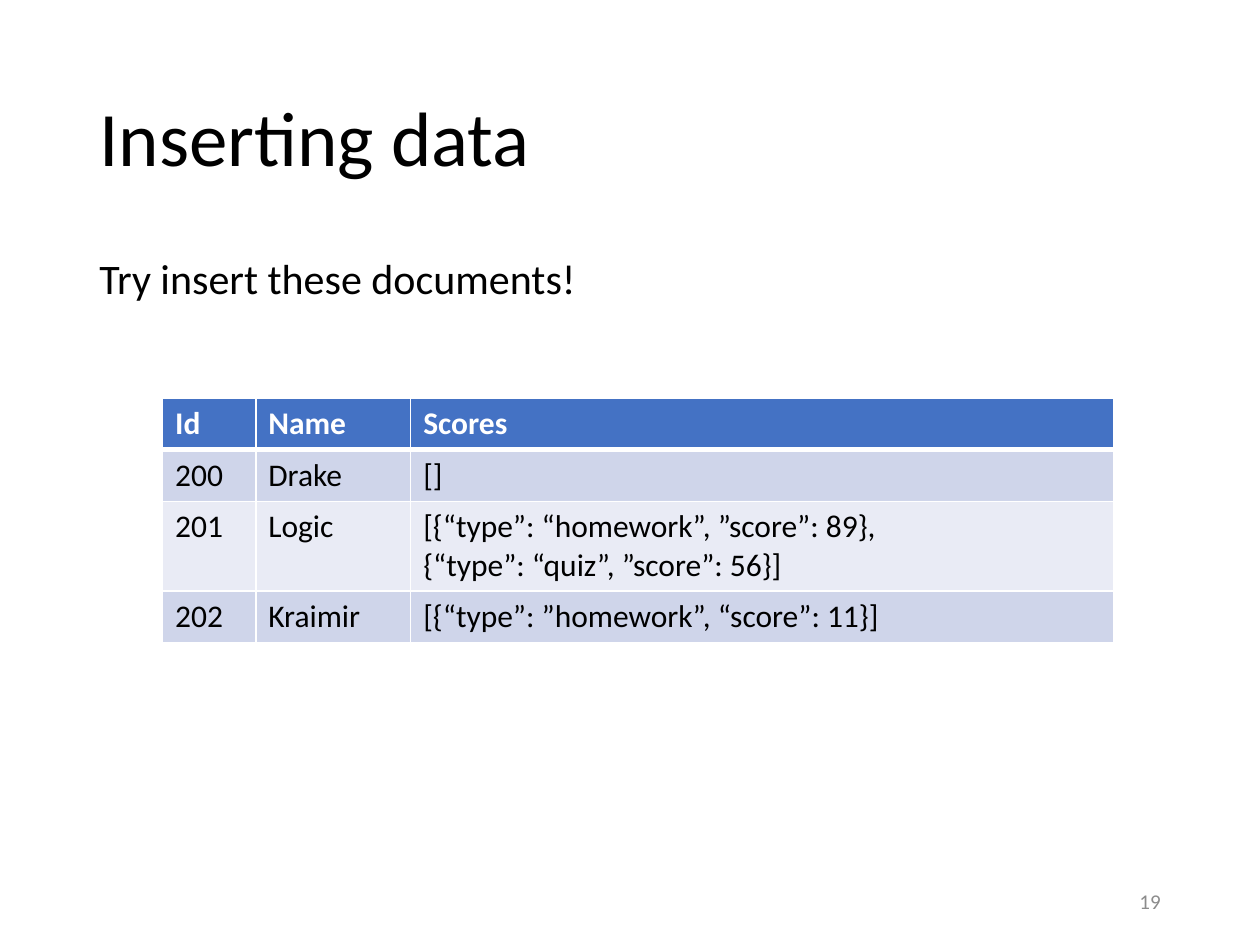
import pptx
import pptx.util
import pptx.dml.color
import pptx.enum.text
import pptx.oxml.ns
from lxml import etree

W, H = 10, 7.5
LEFT, CONTENT_W = 0.69, 8.62
COLS = [0.74, 1.23, 5.58]
ROW_H = 0.41
HEADER, BANDS = "4472C4", ["CFD5EA", "E9EBF5"]
BLACK, WHITE, GREY = "000000", "FFFFFF", "8C8C8C"
ANCHOR = pptx.enum.text.MSO_ANCHOR
ALIGN = pptx.enum.text.PP_ALIGN
inch = pptx.util.Inches

# \v marks a line break inside a cell
DOCUMENTS = [
    ["Id", "Name", "Scores"],
    ["200", "Drake", "[]"],
    ["201", "Logic",
     "[{“type”: “homework”, ”score”: 89},\v{“type”: “quiz”, ”score”: 56}]"],
    ["202", "Kraimir", "[{“type”: ”homework”, “score”: 11}]"],
]


def rgb(value):
    return pptx.dml.color.RGBColor.from_string(value)


def style(p, size, color, bold=False, **paragraph_format):
    for name, value in paragraph_format.items():
        setattr(p, name, value)
    font = {"name": "Calibri", "size": pptx.util.Pt(size), "bold": bold}
    for r in p.runs:
        for name, value in font.items():
            setattr(r.font, name, value)
        r.font.color.rgb = rgb(color)


def add_text(s, text, box, size, color, anchor=ANCHOR.TOP, **paragraph_format):
    tf = s.shapes.add_textbox(*map(inch, box)).text_frame
    tf.word_wrap = True
    tf.vertical_anchor = anchor
    p = tf.paragraphs[0]
    p.text = text
    style(p, size, color, **paragraph_format)


def add_border(cell, side, points):
    qn = pptx.oxml.ns.qn
    ln = etree.Element(qn("a:ln" + side), w=str(pptx.util.Pt(points)))
    fill = etree.SubElement(ln, qn("a:solidFill"))
    etree.SubElement(fill, qn("a:srgbClr"), val=WHITE)
    return ln


def format_cell(cell, text, row):
    header = row == 0
    cell.text = text
    style(cell.text_frame.paragraphs[0], 18, WHITE if header else BLACK, header)
    cell.fill.solid()
    cell.fill.fore_color.rgb = rgb(HEADER if header else BANDS[(row - 1) % 2])
    # Borders come before the fill; a heavier rule parts header and body
    widths = {"L": 1, "R": 1, "T": 3 if row == 1 else 1, "B": 3 if header else 1}
    tc_pr = cell._tc.get_or_add_tcPr()
    for i, (side, points) in enumerate(widths.items()):
        tc_pr.insert(i, add_border(cell, side, points))


def add_documents(s, rows, left, top):
    heights = [ROW_H + 0.3 * max(t.count("\v") for t in row) for row in rows]
    frame = s.shapes.add_table(len(rows), len(COLS), inch(left), inch(top),
                               inch(sum(COLS)), inch(sum(heights)))
    table = frame.table
    for column, width in zip(table.columns, COLS):
        column.width = inch(width)
    for i, (row, height) in enumerate(zip(rows, heights)):
        table.rows[i].height = inch(height)
        for j, text in enumerate(row):
            format_cell(table.cell(i, j), text, i)


def main():
    prs = pptx.Presentation()
    prs.slide_width, prs.slide_height = inch(W), inch(H)
    s = prs.slides.add_slide(prs.slide_layouts[6])

    # Title and instruction
    add_text(s, "Inserting data", (LEFT, 0.4, CONTENT_W, 1.45), 44, BLACK,
             ANCHOR.MIDDLE, line_spacing=0.9)
    add_text(s, "Try insert these documents!", (LEFT, 2, CONTENT_W, 4.76), 24,
             BLACK, line_spacing=0.9, space_before=pptx.util.Pt(10))

    # Slide number, flush with the right margin
    add_text(s, "19", (LEFT + CONTENT_W - 2.25, 6.95, 2.25, 0.4), 12, GREY,
             ANCHOR.MIDDLE, alignment=ALIGN.RIGHT)

    # Documents to insert
    add_documents(s, DOCUMENTS, 1.29, 3.16)
    prs.save("out.pptx")


if __name__ == "__main__":
    main()
